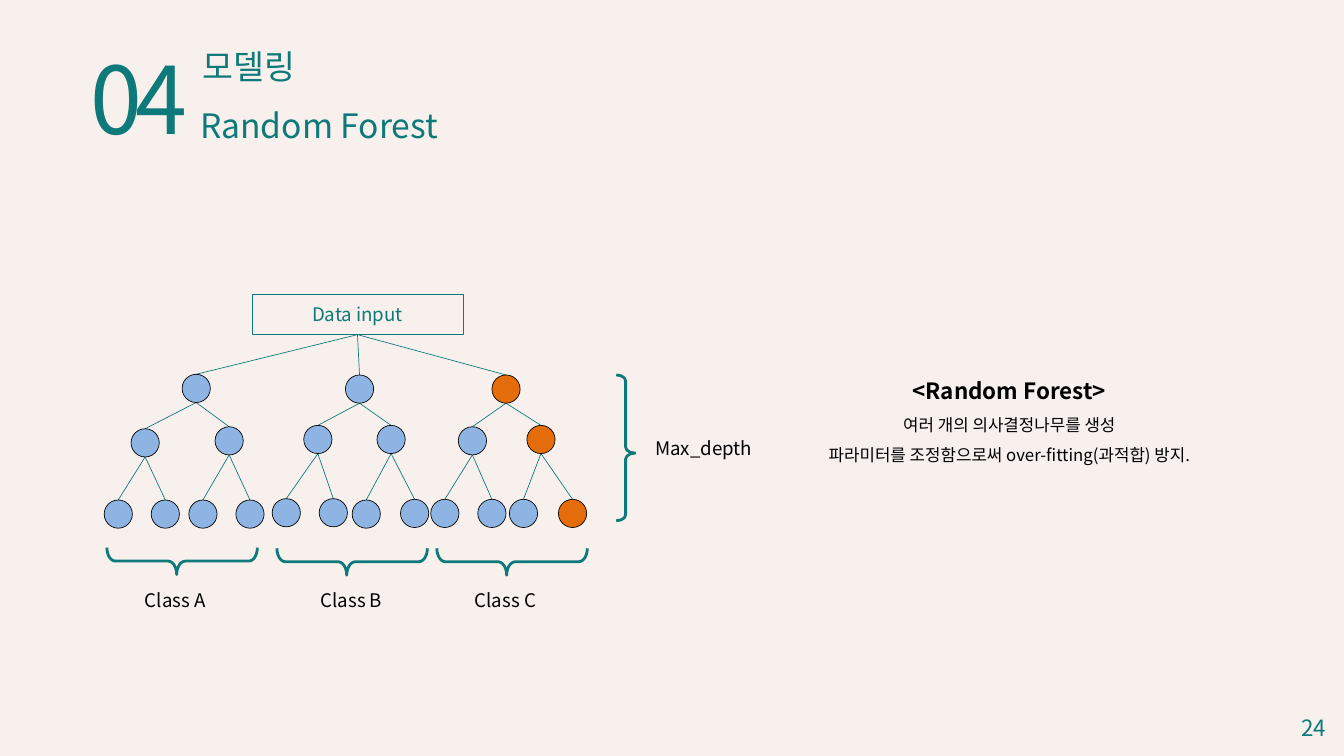
import pptx
import pptx.dml.color
import pptx.enum.shapes
import pptx.enum.text
import pptx.oxml.ns
import pptx.util
from lxml import etree

Inches = pptx.util.Inches
Pt = pptx.util.Pt
RGBColor = pptx.dml.color.RGBColor
Shape = pptx.enum.shapes.MSO_SHAPE
Align = pptx.enum.text.PP_ALIGN
Anchor = pptx.enum.text.MSO_ANCHOR
qn = pptx.oxml.ns.qn

TEAL = RGBColor(0x0E, 0x79, 0x7A)
BLUE = RGBColor(0x8E, 0xB4, 0xE3)
ORANGE = RGBColor(0xE4, 0x6C, 0x0A)
BLACK = RGBColor(0, 0, 0)
CREAM = RGBColor(0xF7, 0xF0, 0xED)
FONT = "Noto Sans CJK KR"
DOT = 0.42

# Nodes run row by row from the root: left and top offsets in the tree's box.
# Then come the brace and label offsets and the nodes on the chosen route.
TREES = [
    ("Class A", 1.55, 5.57, (1.16, 0.4, 1.65, 0, 0.7, 1.26, 1.96),
     (0, 0.81, 0.78, 1.87, 1.87, 1.87, 1.87), 0.96, -0.06, ()),
    ("Class B", 4.05, 5.58, (1.09, 0.47, 1.56, 0, 0.7, 1.19, 1.91),
     (0, 0.75, 0.75, 1.84, 1.84, 1.86, 1.85), 0.99, 0.06, ()),
    ("Class C", 6.41, 5.58, (0.91, 0.41, 1.43, 0, 0.7, 1.17, 1.9),
     (0, 0.77, 0.75, 1.85, 1.85, 1.85, 1.85), 1.01, -0.01, (0, 2, 6)),
]


def style(para, size, color, align=Align.LEFT, bold=False):
    para.alignment = align
    font = para.font
    font.name, font.size, font.bold = FONT, Pt(size), bold
    font.color.rgb = color
    latin = para._p.pPr.find(qn("a:defRPr")).find(qn("a:latin"))
    asian = etree.Element(qn("a:ea"))
    asian.set("typeface", FONT)
    latin.addnext(asian)


def write(shape, text, size, color, align=Align.LEFT, anchor=Anchor.TOP):
    frame = shape.text_frame
    frame.word_wrap = True
    frame.auto_size = pptx.enum.text.MSO_AUTO_SIZE.NONE
    frame.vertical_anchor = anchor
    frame.text = text
    style(frame.paragraphs[0], size, color, align)
    return frame


def add_text(slide, box, *args, **kwargs):
    shape = slide.shapes.add_textbox(*map(Inches, box))
    return write(shape, *args, **kwargs)


def add_shape(slide, kind, box, fill, line, width):
    shape = slide.shapes.add_shape(kind, *map(Inches, box))
    shape.shadow.inherit = False
    if fill is None:
        shape.fill.background()
    else:
        shape.fill.solid()
        shape.fill.fore_color.rgb = fill
    shape.line.color.rgb = line
    shape.line.width = Pt(width)
    return shape


def add_line(slide, start, end):
    line = slide.shapes.add_connector(
        pptx.enum.shapes.MSO_CONNECTOR.STRAIGHT, *map(Inches, start + end))
    line.line.color.rgb = TEAL
    line.line.width = Pt(0.75)
    etree.SubElement(line._element.spPr, qn("a:effectLst"))
    return line


def add_brace(slide, box, turn=0):
    brace = add_shape(slide, Shape.RIGHT_BRACE, box, None, TEAL, 3)
    brace.adjustments[0], brace.adjustments[1] = 0.317, 0.536
    brace.rotation = turn


def add_head(slide, left, top):
    """Section number, section name and slide title."""
    frame = add_text(slide, (left, top, 5.06, 1.78), "04", 100, TEAL)
    run = frame.paragraphs[0].runs[0]
    run._r.get_or_add_rPr().set("spc", "-700")
    add_text(slide, (left + 1.67, top + 0.06, 4.91, 0.71), "모델링", 36, TEAL)
    title = slide.shapes.title
    title.left, title.top = Inches(left + 1.63), Inches(top + 0.94)
    title.width, title.height = Inches(4.87), Inches(0.71)
    write(title, "Random Forest", 36, TEAL)


def add_tree(slide, source, name, left, top, xs, ys, brace, label, route):
    """One decision tree under the source box, with its brace and class name."""
    spots = [(left + x, top + y) for x, y in zip(xs, ys)]
    for i, (x, y) in enumerate(spots):
        peak = (x + DOT / 2, y)
        if i == 0:
            add_line(slide, peak, peak).begin_connect(source, 2)
        else:
            px, py = spots[(i - 1) // 2]
            add_line(slide, (px + DOT / 2, py + DOT), peak)
    for i, (x, y) in enumerate(spots):
        add_shape(slide, Shape.OVAL, (x, y, DOT, DOT),
                  ORANGE if i in route else BLUE, BLACK, 0.75)
    add_brace(slide, (left + brace, top + 1.66, 0.4, 2.24), 90)
    add_text(slide, (left + label, top + 3.14, 2.24, 0.44), name, 20, BLACK,
             Align.CENTER)


def add_forest(slide, left, top):
    source = add_shape(slide, Shape.RECTANGLE, (left + 2.2, top, 3.14, 0.6),
                       None, TEAL, 1)
    write(source, "Data input", 20, TEAL, Align.CENTER, Anchor.MIDDLE)
    for tree in TREES:
        add_tree(slide, source, *tree)
    add_brace(slide, (left + 7.62, top + 1.2, 0.28, 2.17))
    add_text(slide, (left + 8.1, top + 2.07, 2.24, 0.44), "Max_depth", 20,
             BLACK)


def add_note(slide, box):
    lines = ["<Random Forest>", "여러 개의 의사결정나무를 생성",
             "파라미터를 조정함으로써 over-fitting(과적합) 방지."]
    frame = add_text(slide, box, lines[0], 24, BLACK, Align.CENTER)
    frame.paragraphs[0].font.bold = True
    for line in lines[1:]:
        para = frame.add_paragraph()
        para.text = line
        style(para, 18, BLACK, Align.CENTER)
    for para in frame.paragraphs:
        para.line_spacing = 1.5


def main():
    deck = pptx.Presentation()
    deck.slide_width, deck.slide_height = Inches(20), Inches(11.25)
    slide = deck.slides.add_slide(deck.slide_layouts[5])
    slide.background.fill.solid()
    slide.background.fill.fore_color.rgb = CREAM
    add_head(slide, 1.25, 0.57)
    add_forest(slide, 1.55, 4.38)
    add_note(slide, (11.58, 5.37, 6.88, 2.46))
    add_text(slide, (17.5, 10.62, 2.33, 0.4), "24", 24, TEAL, Align.RIGHT,
             Anchor.MIDDLE)
    deck.save("out.pptx")


if __name__ == "__main__":
    main()
